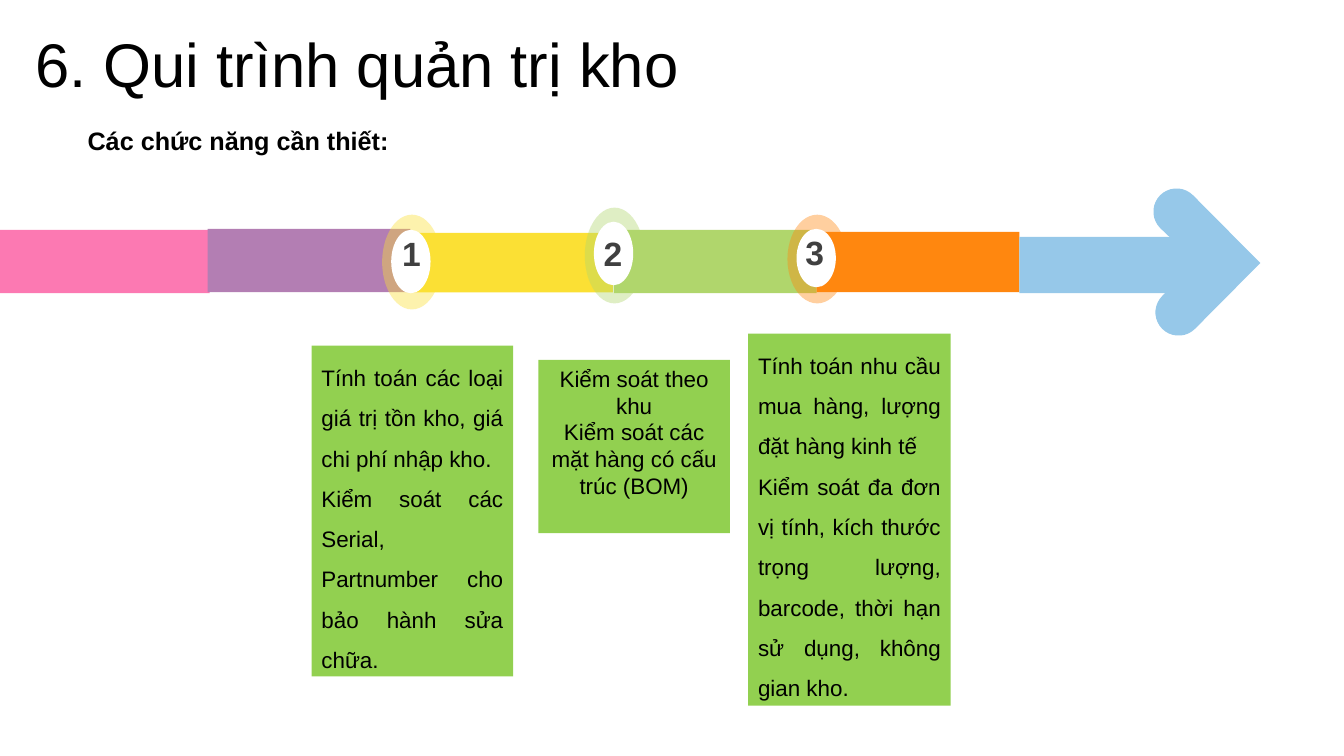
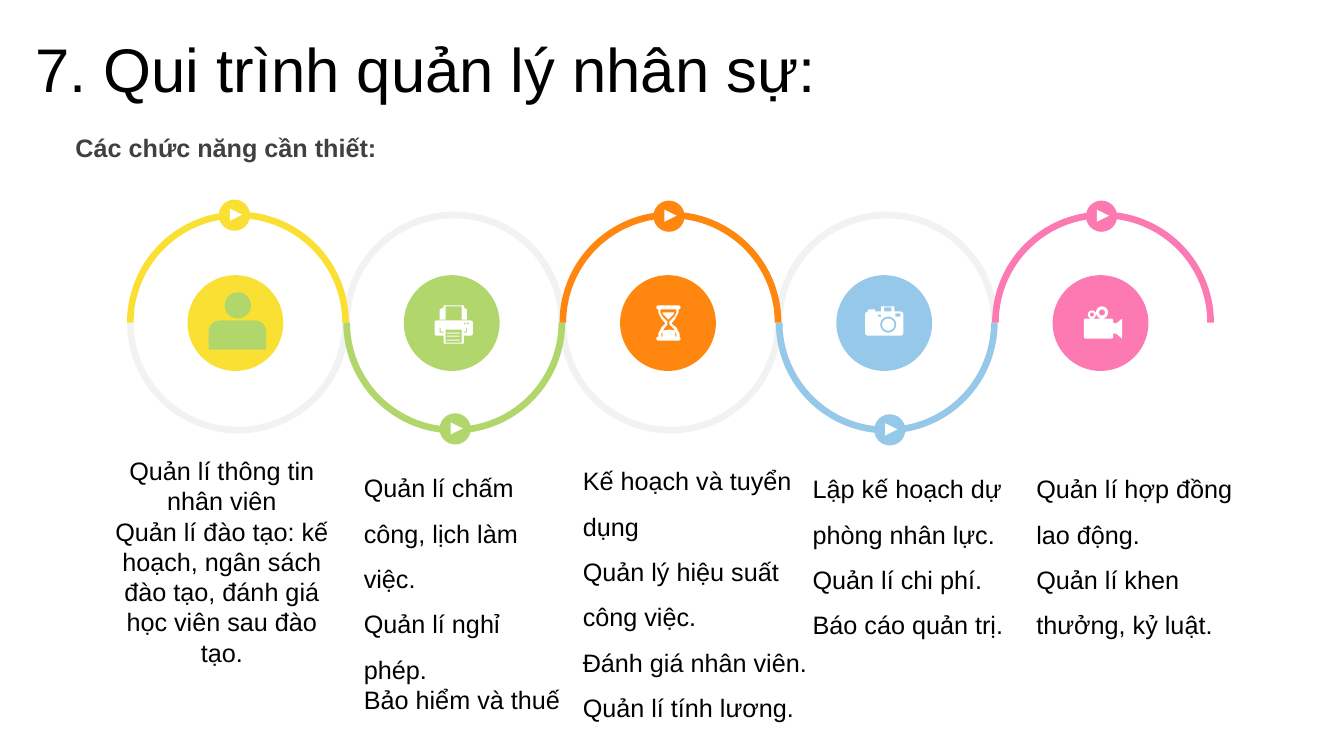
from dataclasses import dataclass
from math import cos, radians, sin

from lxml import etree
from pptx import Presentation
from pptx.dml.color import RGBColor
from pptx.enum.shapes import MSO_SHAPE
from pptx.enum.text import MSO_ANCHOR, MSO_AUTO_SIZE, PP_ALIGN
from pptx.oxml.ns import qn
from pptx.util import Inches, Pt

RECT, OVAL = MSO_SHAPE.RECTANGLE, MSO_SHAPE.OVAL
ARC, PLAY = MSO_SHAPE.BLOCK_ARC, MSO_SHAPE.FLOWCHART_EXTRACT
LEFT, MID, JUST = PP_ALIGN.LEFT, PP_ALIGN.CENTER, PP_ALIGN.JUSTIFY
TOP, CENTER = MSO_ANCHOR.TOP, MSO_ANCHOR.MIDDLE
FIXED = MSO_AUTO_SIZE.NONE

FONT = "Arial"
BLACK, GRAY, PALE, WHITE = "000000", "404040", "F2F2F2", "FFFFFF"
PINK, PURPLE, YELLOW = "FC79B2", "B37EB3", "FBE034"
GREEN, ORANGE, BLUE, LIME = "B0D66C", "FF870F", "96C8E9", "92D050"
HEADING = "Các chức năng cần thiết:"

Loop = list[tuple[float, float]]
Place = tuple[float, float, float, float]


@dataclass
class Band:
    place: Place
    color: str


@dataclass
class Badge:
    label: str
    color: str
    left: float
    top: float
    high: float
    core: float
    tall: float
    text: tuple[float, float]


@dataclass
class Card:
    place: Place
    lines: list[str]
    align: int = JUST
    space: float = 1.5


@dataclass
class Step:
    color: str
    dot: tuple[float, float]
    place: Place
    lines: list[str]
    icon: list[Loop]
    align: int = LEFT
    space: float = 1.5
    inset: float = 0.12
    tail: str = ""
    tint: str = WHITE


def rgb(code: str) -> RGBColor:
    return RGBColor.from_string(code)


def paint(shape, color: str, alpha: int = 100) -> None:
    shape.shadow.inherit = False
    shape.fill.solid()
    shape.fill.fore_color.rgb = rgb(color)
    shape.line.fill.background()
    if alpha < 100:
        tone = shape.element.find(".//" + qn("a:srgbClr"))
        etree.SubElement(tone, qn("a:alpha")).set("val", str(alpha * 1000))


def draw(slide, kind: int, place: Place, color: str, alpha: int = 100, turn: int = 0):
    shape = slide.shapes.add_shape(kind, *map(Inches, place))
    shape.rotation = turn
    paint(shape, color, alpha)
    return shape


def write(shape, lines: list[str], *, size: int = 18, color: str = BLACK, bold: bool = False,
          align: int = LEFT, space: float = 1.0, indent: float = 0, inset: float = 0.1,
          anchor: int = TOP, tail: str = "") -> None:
    frame = shape.text_frame
    frame.word_wrap = True
    frame.auto_size = FIXED
    frame.vertical_anchor = anchor
    frame.margin_left = frame.margin_right = Inches(inset)
    frame.margin_top = frame.margin_bottom = Inches(0.05)
    rows = lines + [tail] if tail else lines
    for n, line in enumerate(rows):
        para = frame.paragraphs[0] if n == 0 else frame.add_paragraph()
        para.text = line
        para.alignment = align
        para.line_spacing = 1.0 if tail and n == len(lines) else space
        para.space_before = Pt(0)
        if indent:
            props = para._p.get_or_add_pPr()
            props.set("marL", str(Inches(indent)))
            props.set("indent", "0")
        font = para.font
        font.name, font.size, font.bold = FONT, Pt(size), bold
        font.color.rgb = rgb(color)


def label(slide, place: Place, lines: list[str], **style) -> None:
    write(slide.shapes.add_textbox(*map(Inches, place)), lines, **style)


def arc(x: float, y: float, r: float, start: int, end: int) -> Loop:
    count = max(6, abs(end - start) // 10)
    turns = [radians(start + (end - start) * n / count) for n in range(count + 1)]
    return [(x + r * cos(t), y + r * sin(t)) for t in turns]


def ring(x: float, y: float, r: float) -> Loop:
    return arc(x, y, r, 0, 360)


def box(l: float, t: float, r: float, b: float, bend: float = 0) -> Loop:
    if not bend:
        return [(l, t), (r, t), (r, b), (l, b)]
    return (arc(l + bend, t + bend, bend, 180, 270) + arc(r - bend, t + bend, bend, 270, 360)
            + arc(r - bend, b - bend, bend, 0, 90) + arc(l + bend, b - bend, bend, 90, 180))


def trace(slide, loops: list[Loop], color: str) -> None:
    paths = [[(Inches(x), Inches(y)) for x, y in loop] for loop in loops]
    pen = slide.shapes.build_freeform(*paths[0][0])
    for n, path in enumerate(paths):
        if n:
            pen.move_to(*path[0])
        pen.add_line_segments(path[1:], close=True)
    paint(pen.convert_to_shape(), color)


MAN = [
    ring(2.36, 3.03, 0.13),
    arc(2.18, 3.29, 0.11, 180, 270) + arc(2.53, 3.29, 0.11, 270, 360) + [(2.64, 3.47), (2.07, 3.47)],
]
PRINTER = [
    *[box(4.43, y, 4.56, y + 0.01) for y in (3.3, 3.33, 3.37)],
    box(4.42, 3.27, 4.58, 3.4),
    [(4.36, 3.25), (4.36, 3.3), (4.4, 3.3), (4.4, 3.29), (4.37, 3.29), (4.37, 3.25),
     (4.62, 3.25), (4.62, 3.29), (4.6, 3.29), (4.6, 3.3), (4.63, 3.3), (4.63, 3.25)],
    ring(4.64, 3.21, 0.01),
    ring(4.61, 3.21, 0.01),
    arc(4.33, 3.2, 0.02, 180, 270) + arc(4.67, 3.2, 0.02, 270, 360) + arc(4.67, 3.31, 0.02, 0, 90)
    + [(4.6, 3.33), (4.6, 3.41), (4.4, 3.41), (4.4, 3.33)] + arc(4.33, 3.31, 0.02, 90, 180),
    [(4.4, 3.03), (4.6, 3.03), (4.6, 3.05), (4.63, 3.07), (4.63, 3.17), (4.58, 3.17), (4.58, 3.04),
     (4.42, 3.04), (4.42, 3.17), (4.36, 3.17), (4.36, 3.07), (4.4, 3.05)],
]
GLASS = [
    box(6.51, 3.03, 6.75, 3.07, 0.02),
    box(6.51, 3.34, 6.75, 3.38, 0.02),
    [(6.53, 3.07), (6.73, 3.07), (6.73, 3.1), (6.7, 3.16), (6.66, 3.21), (6.71, 3.25), (6.74, 3.31),
     (6.74, 3.34), (6.53, 3.34), (6.53, 3.31), (6.56, 3.25), (6.6, 3.21), (6.56, 3.16), (6.53, 3.1)],
    [(6.55, 3.07), (6.55, 3.1), (6.57, 3.14), (6.62, 3.19), (6.62, 3.22), (6.58, 3.27), (6.56, 3.31),
     (6.56, 3.34), (6.71, 3.34), (6.71, 3.31), (6.69, 3.27), (6.64, 3.22), (6.64, 3.19), (6.69, 3.14),
     (6.71, 3.1), (6.71, 3.07)],
    [(6.57, 3.1), (6.69, 3.1), (6.68, 3.12), (6.63, 3.17), (6.58, 3.12)],
    [(6.57, 3.28), (6.64, 3.27), (6.7, 3.28), (6.7, 3.34), (6.57, 3.34)],
]
CAMERA = [
    box(8.58, 3.09, 8.96, 3.33, 0.03),
    box(8.61, 3.07, 8.68, 3.09),
    box(8.74, 3.04, 8.87, 3.09),
    box(8.77, 3.05, 8.84, 3.09),
    box(8.71, 3.12, 8.74, 3.14),
    box(8.88, 3.11, 8.93, 3.14),
    ring(8.81, 3.22, 0.08),
    ring(8.81, 3.22, 0.06),
]
VIDEO = [
    box(10.75, 3.16, 11.04, 3.36, 0.02),
    [(11.04, 3.2), (11.07, 3.21), (11.13, 3.16), (11.13, 3.36), (11.07, 3.31), (11.04, 3.31)],
    ring(10.83, 3.12, 0.04),
    ring(10.83, 3.12, 0.02),
    ring(10.93, 3.1, 0.06),
    ring(10.93, 3.1, 0.03),
]
HEAD = [arc(11.67, 2.1, 0.23, 135, 315) + [(12.5, 2.61)]
        + arc(11.69, 3.1, 0.23, 45, 225) + [(11.86, 2.6)]]

BANDS = [
    Band((0, 2.28, 2.08, 0.63), PINK),
    Band((2.06, 2.27, 2.01, 0.63), PURPLE),
    Band((4.07, 2.31, 2.01, 0.59), YELLOW),
    Band((6.09, 2.28, 2.01, 0.63), GREEN),
    Band((8.1, 2.3, 2.01, 0.6), ORANGE),
    Band((10.11, 2.35, 2.03, 0.56), BLUE),
]
BADGES = [
    Badge("1", YELLOW, 3.79, 2.13, 0.94, 2.28, 0.63, (3.34, 2.26)),
    Badge("2", GREEN, 5.8, 2.06, 0.95, 2.2, 0.63, (5.34, 2.26)),
    Badge("3", ORANGE, 7.81, 2.13, 0.88, 2.27, 0.58, (7.34, 2.25)),
]
CARDS = [
    Card((3.09, 3.43, 2, 3.28), ["Tính toán các loại giá trị tồn kho, giá chi phí nhập kho.",
                                 "Kiểm soát các Serial, Partnumber cho bảo hành sửa chữa."]),
    Card((5.34, 3.57, 1.9, 1.72), ["Kiểm soát theo khu", "Kiểm soát các mặt hàng có cấu trúc (BOM)"],
         MID, 1.0),
    Card((7.42, 3.31, 2.01, 3.69), ["Tính toán nhu cầu mua hàng, lượng đặt hàng kinh tế",
                                    "Kiểm soát đa đơn vị tính, kích thước trọng lượng, barcode, "
                                    "thời hạn sử dụng, không gian kho."]),
]
STEPS = [
    Step(YELLOW, (2.17, 1.98), (1, 4.47, 2.4, 3.0),
         ["Quản lí thông tin nhân viên",
          "Quản lí đào tạo: kế hoạch, ngân sách đào tạo, đánh giá học viên sau đào tạo."],
         MAN, MID, 1.0, tint=GREEN),
    Step(GREEN, (4.36, 4.1), (3.51, 4.49, 2.19, 2.68),
         ["Quản lí chấm công, lịch làm việc.", "Quản lí nghỉ phép."],
         PRINTER, inset=0.1, tail="Bảo hiểm và thuế"),
    Step(ORANGE, (6.48, 1.99), (5.66, 4.42, 2.48, 3.0),
         ["Kế hoạch và tuyển dụng", "Quản lý hiệu suất công việc.",
          "Đánh giá nhân viên. Quản lí tính lương."], GLASS),
    Step(BLUE, (8.67, 4.11), (7.94, 4.5, 2.4, 2.33),
         ["Lập kế hoạch dự phòng nhân lực.", "Quản lí chi phí.", "Báo cáo quản trị."], CAMERA),
    Step(PINK, (10.77, 1.99), (10.18, 4.5, 2.21, 1.86),
         ["Quản lí hợp đồng lao động.", "Quản lí khen thưởng, kỷ luật."], VIDEO, inset=0.1),
]
FIRST, LAST, WIDE, DISC = 1.26, 9.84, 2.2, 0.95
PITCH = (LAST - FIRST) / (len(STEPS) - 1)


def start(deck, title: str, top: float):
    slide = deck.slides.add_slide(deck.slide_layouts[5])
    head = slide.shapes.title
    head.left, head.top, head.width, head.height = map(Inches, (0, top, 12.66, 0.79))
    write(head, [title], size=44, align=JUST, space=1.5, indent=0.25, anchor=CENTER)
    return slide


def stock(deck) -> None:
    slide = start(deck, "6. Qui trình quản trị kho", 0.05)
    label(slide, (0.52, 1.04, 6.72, 0.5), [HEADING], bold=True, align=JUST, space=1.5, indent=0.25)
    for band in BANDS:
        draw(slide, RECT, band.place, band.color)
    trace(slide, HEAD, BLUE)
    for badge in BADGES:
        draw(slide, OVAL, (badge.left, badge.top, 0.59, badge.high), badge.color, 40)
        draw(slide, OVAL, (badge.left + 0.09, badge.core, 0.39, badge.tall), WHITE)
        label(slide, (*badge.text, 1.48, 0.5), [badge.label], size=24, color=GRAY, bold=True, align=MID)
    for card in CARDS:
        shape = draw(slide, RECT, card.place, LIME)
        write(shape, card.lines, size=16, align=card.align, space=card.space)


def bend(slide, n: int, color: str, turn: int) -> None:
    shape = draw(slide, ARC, (FIRST + n * PITCH, 2.1, WIDE, WIDE), color, turn=turn)
    for k, value in enumerate((108, 0, 0.03)):
        shape.adjustments[k] = value


def staff(deck) -> None:
    slide = start(deck, "7. Qui trình quản lý nhân sự:", 0.09)
    label(slide, (0.65, 1.26, 6.72, 0.4), [HEADING], color=GRAY, bold=True)
    for n in range(len(STEPS) - 1):
        bend(slide, n, PALE, 0 if n % 2 else 180)
    for n, step in enumerate(STEPS):
        bend(slide, n, step.color, 180 if n % 2 else 0)
        draw(slide, OVAL, (FIRST + 0.6 + n * PITCH, 2.73, DISC, DISC), step.color)
        trace(slide, step.icon, step.tint)
        x, y = step.dot
        draw(slide, OVAL, (x, y, 0.31, 0.31), step.color)
        draw(slide, PLAY, (x + 0.11, y + 0.09, 0.12, 0.12), WHITE, turn=90)
        label(slide, step.place, step.lines, align=step.align, space=step.space,
              inset=step.inset, tail=step.tail)


def main() -> None:
    deck = Presentation()
    deck.slide_width, deck.slide_height = Inches(13.33), Inches(7.5)
    stock(deck)
    staff(deck)
    deck.save("out.pptx")


if __name__ == "__main__":
    main()
